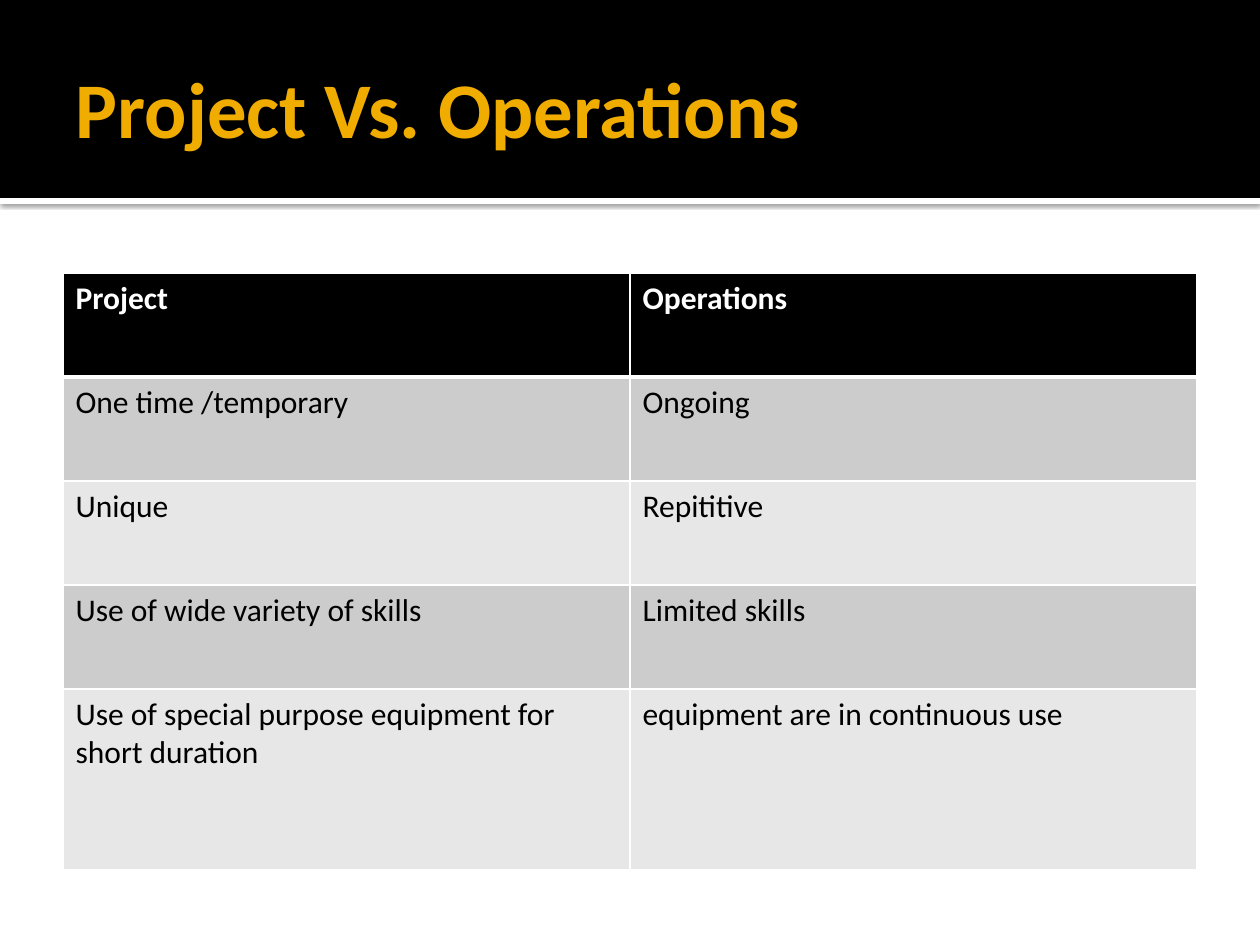
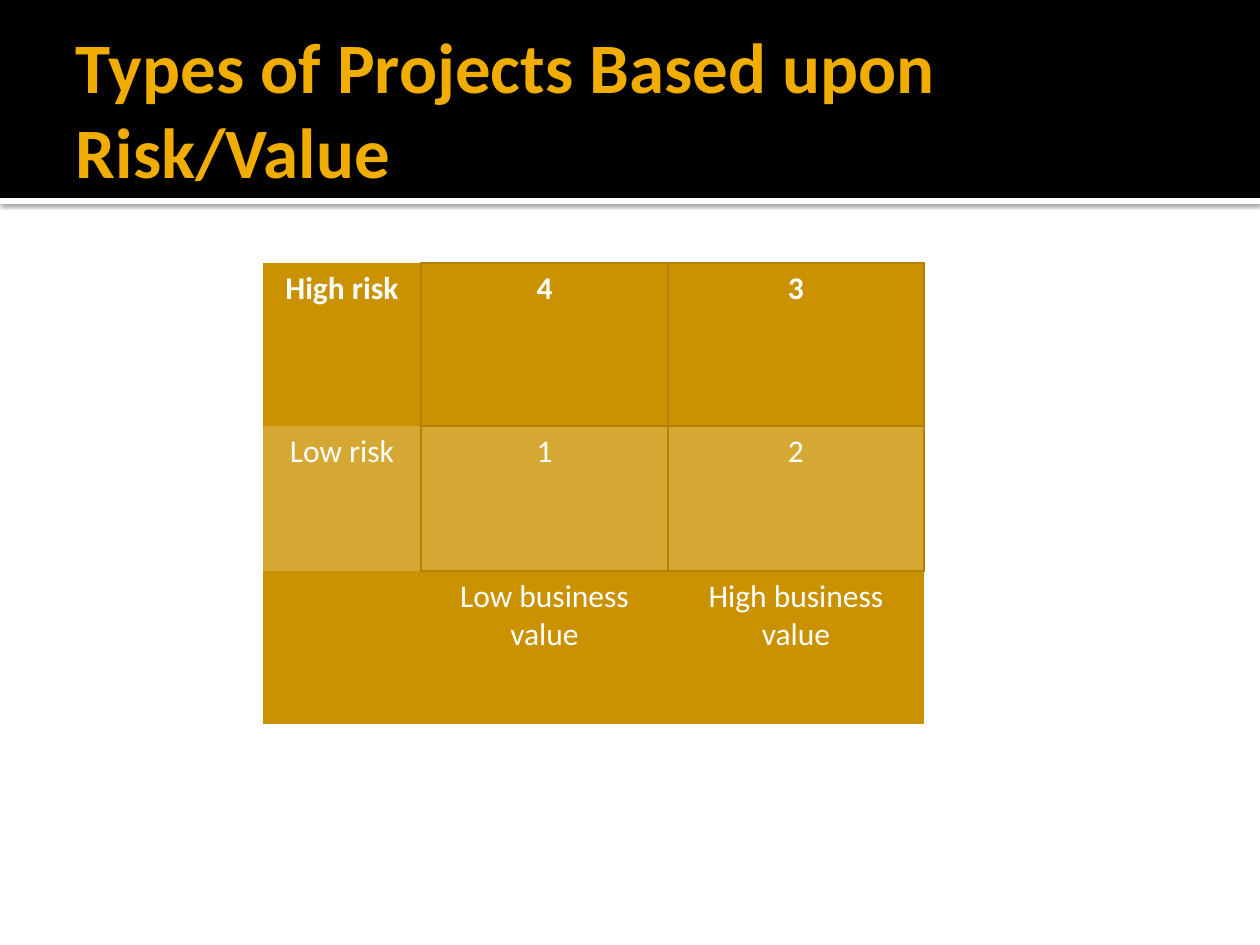
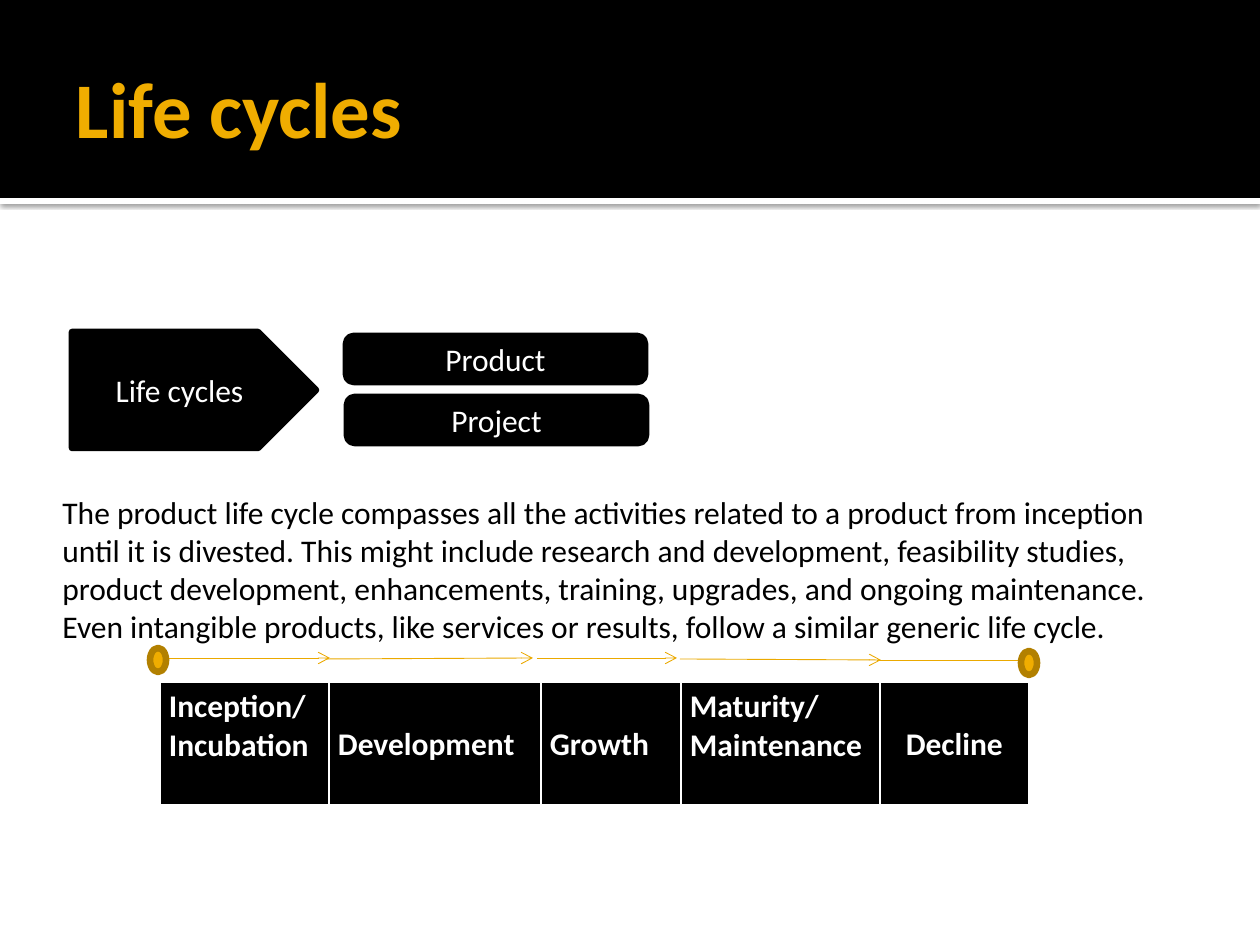
"""Build three slides on projects, risk and life cycles."""
from lxml import etree
from pptx import Presentation
from pptx.dml.color import RGBColor
from pptx.enum.shapes import MSO_CONNECTOR, MSO_SHAPE
from pptx.enum.text import MSO_ANCHOR, PP_ALIGN
from pptx.oxml.ns import qn
from pptx.util import Emu, Pt

BLACK = RGBColor(0x00, 0x00, 0x00)
WHITE = RGBColor(0xFF, 0xFF, 0xFF)
GOLD = RGBColor(0xF0, 0xAD, 0x00)
ARROW = RGBColor(0xEB, 0xA9, 0x00)
RIM = RGBColor(0xB2, 0x80, 0x00)
GRID = RGBColor(0xB4, 0x82, 0x00)
OCHRE = RGBColor(0xCA, 0x92, 0x00)
SAND = RGBColor(0xD5, 0xA8, 0x33)
GREY = RGBColor(0xCC, 0xCC, 0xCC)
PALE = RGBColor(0xE7, 0xE7, 0xE7)
LEFT, CENTER = PP_ALIGN.LEFT, PP_ALIGN.CENTER
MIDDLE = MSO_ANCHOR.MIDDLE
RECT, ROUND = MSO_SHAPE.RECTANGLE, MSO_SHAPE.ROUNDED_RECTANGLE
PLATE, DOT = MSO_SHAPE.PENTAGON, MSO_SHAPE.FLOWCHART_CONNECTOR
STRAIGHT = MSO_CONNECTOR.STRAIGHT
FONT = "Calibri"
SIDES = "LRTB"


def px(*sizes):
    return [Emu(round(size * 914400 / 126)) for size in sizes]


class Deck:
    def __init__(self):
        self.prs = Presentation()
        self.prs.slide_width, self.prs.slide_height = px(1260, 945)
        self.slide = None

    def put(self, frame, lines, size=18, color=WHITE, bold=False, align=LEFT):
        frame.word_wrap = True
        for i, line in enumerate(lines):
            para = frame.add_paragraph() if i else frame.paragraphs[0]
            para.alignment = align
            run = para.add_run()
            run.text = line
            font = run.font
            font.name, font.size, font.bold = FONT, Pt(size), bold
            font.color.rgb = color

    def page(self, title, size=45):
        self.slide = self.prs.slides.add_slide(self.prs.slide_layouts[5])
        strip = self.shape(RECT, (0, 198, 1260, 6), WHITE)
        band = self.shape(RECT, (0, 0, 1260, 198), BLACK)
        glow = strip._element.spPr.find(qn("a:effectLst"))
        shade = etree.SubElement(glow, qn("a:outerShdw"), blurRad="31750",
                                 dist="10160", dir="5400000")
        tone = etree.SubElement(shade, qn("a:srgbClr"), val=str(BLACK))
        etree.SubElement(tone, qn("a:alpha"), val="60000")
        for i, part in enumerate((strip, band)):
            self.slide.shapes._spTree.insert(2 + i, part._element)
        head = self.slide.shapes.title
        head.left, head.top, head.width, head.height = px(63, 21, 1134, 173)
        frame = head.text_frame
        frame.vertical_anchor = MIDDLE
        frame.margin_left, frame.margin_right = px(13, 6)
        frame.margin_top, frame.margin_bottom = px(6, 6)
        self.put(frame, [title], size, GOLD, True)

    def shape(self, kind, box, fill, line=None, text=None):
        shape = self.slide.shapes.add_shape(kind, *px(*box))
        shape.shadow.inherit = False
        shape.fill.solid()
        shape.fill.fore_color.rgb = fill
        if line is None:
            shape.line.fill.background()
        else:
            shape.line.color.rgb = line
            shape.line.width = Pt(3.78)
        if text:
            shape.text_frame.vertical_anchor = MIDDLE
            self.put(shape.text_frame, [text], align=CENTER)
        return shape

    def text(self, box, text):
        frame = self.slide.shapes.add_textbox(*px(*box)).text_frame
        self.put(frame, [text], color=BLACK)

    def line(self, start, end, arrow=True):
        line = self.slide.shapes.add_connector(STRAIGHT, *px(*start, *end))
        line.line.color.rgb = ARROW
        line.line.width = Pt(0.5)
        if arrow:
            etree.SubElement(line.line._get_or_add_ln(), qn("a:tailEnd"), type="arrow")
        etree.SubElement(line._element.spPr, qn("a:effectLst"))

    def table(self, left, top, cols, rows):
        box = px(left, top, sum(cols), sum(rows))
        table = self.slide.shapes.add_table(len(rows), len(cols), *box).table
        table.first_row = table.horz_banding = False
        for col, width in zip(table.columns, px(*cols)):
            col.width = width
        for row, height in zip(table.rows, px(*rows)):
            row.height = height
        return table

    def cell(self, cell, lines, fill, edges, **style):
        cell.fill.solid()
        cell.fill.fore_color.rgb = fill
        props = cell._tc.get_or_add_tcPr()
        for i, side in enumerate(SIDES):
            color, width = edges.get(side, (None, 0))
            edge = etree.Element(qn("a:ln" + side), w=str(int(Pt(width))))
            if color is None:
                etree.SubElement(edge, qn("a:noFill"))
            else:
                paint = etree.SubElement(edge, qn("a:solidFill"))
                etree.SubElement(paint, qn("a:srgbClr"), val=str(color))
            props.insert(i, edge)
        self.put(cell.text_frame, lines, **style)


def versus(deck):
    deck.page("Project Vs. Operations")
    rows = [
        ("Project", "Operations"),
        ("One time /temporary", "Ongoing"),
        ("Unique", "Repititive"),
        ("Use of wide variety of skills", "Limited skills"),
        ("Use of special purpose equipment for short duration",
         "equipment are in continuous use"),
    ]
    table = deck.table(63, 273, [567] * 2, [104] * 4 + [181])
    for r, row in enumerate(rows):
        fill = (GREY if r % 2 else PALE) if r else BLACK
        edges = dict.fromkeys(SIDES, (WHITE, 1))
        if r < 2:
            edges["T" if r else "B"] = (WHITE, 3)
        for c, text in enumerate(row):
            deck.cell(table.cell(r, c), [text], fill, edges,
                      color=BLACK if r else WHITE, bold=r == 0)


def risk(deck):
    deck.page("Types of Projects Based upon Risk/Value", 40.5)
    rows = [
        ("High risk", "4", "3"),
        ("Low risk", "1", "2"),
        ("", "Low business value", "High business value"),
    ]
    table = deck.table(263, 263, [158, 247, 256], [163, 145, 153])
    for r, row in enumerate(rows):
        for c, text in enumerate(row):
            if r < 2:
                sides = SIDES if c else "R"
            else:
                sides = "T" if c else ""
            deck.cell(table.cell(r, c), [text] if text else [],
                      SAND if r == 1 else OCHRE,
                      dict.fromkeys(sides, (GRID, 1)), bold=r == 0, align=CENTER)


def cycles(deck):
    deck.page("Life cycles")
    deck.shape(PLATE, (72, 332, 244, 116), BLACK, BLACK, "Life cycles")
    deck.shape(ROUND, (346, 336, 299, 46), BLACK, BLACK, "Product")
    deck.shape(ROUND, (347, 397, 299, 46), BLACK, BLACK, "Project")
    deck.text((50, 487, 1150, 165),
              "The product life cycle compasses all the activities related to a "
              "product from inception until it is divested. This might include "
              "research and development, feasibility studies, product development, "
              "enhancements, training, upgrades, and ongoing maintenance. Even "
              "intangible products, like services or results, follow a similar "
              "generic life cycle.")
    stages = [
        (169, ["Inception/", "Incubation"]),
        (212, ["Development"]),
        (140, ["Growth"]),
        (199, ["Maturity/", "Maintenance"]),
        (149, ["Decline"]),
    ]
    table = deck.table(160, 682, [width for width, _ in stages], [124])
    edges = dict.fromkeys("LRT", (WHITE, 1)) | {"B": (WHITE, 3)}
    for c, (_, lines) in enumerate(stages):
        cell = table.cell(0, c)
        cell.margin_left, cell.margin_right = px(9, 9)
        cell.margin_top, = px(6 if len(lines) > 1 else 44)
        deck.cell(cell, lines, BLACK, edges, bold=True,
                  align=CENTER if c == 4 else LEFT)
    deck.line((166, 658), (330, 658))
    deck.line((325, 659), (533, 658))
    deck.line((537, 658), (677, 658))
    deck.line((680, 659), (881, 660))
    deck.line((877, 660), (1026, 660), False)
    for left, top in ((150, 648), (1021, 651)):
        deck.shape(DOT, (left, top, 16, 24), GOLD, RIM)


def main():
    deck = Deck()
    versus(deck)
    risk(deck)
    cycles(deck)
    deck.prs.save("out.pptx")


if __name__ == "__main__":
    main()
